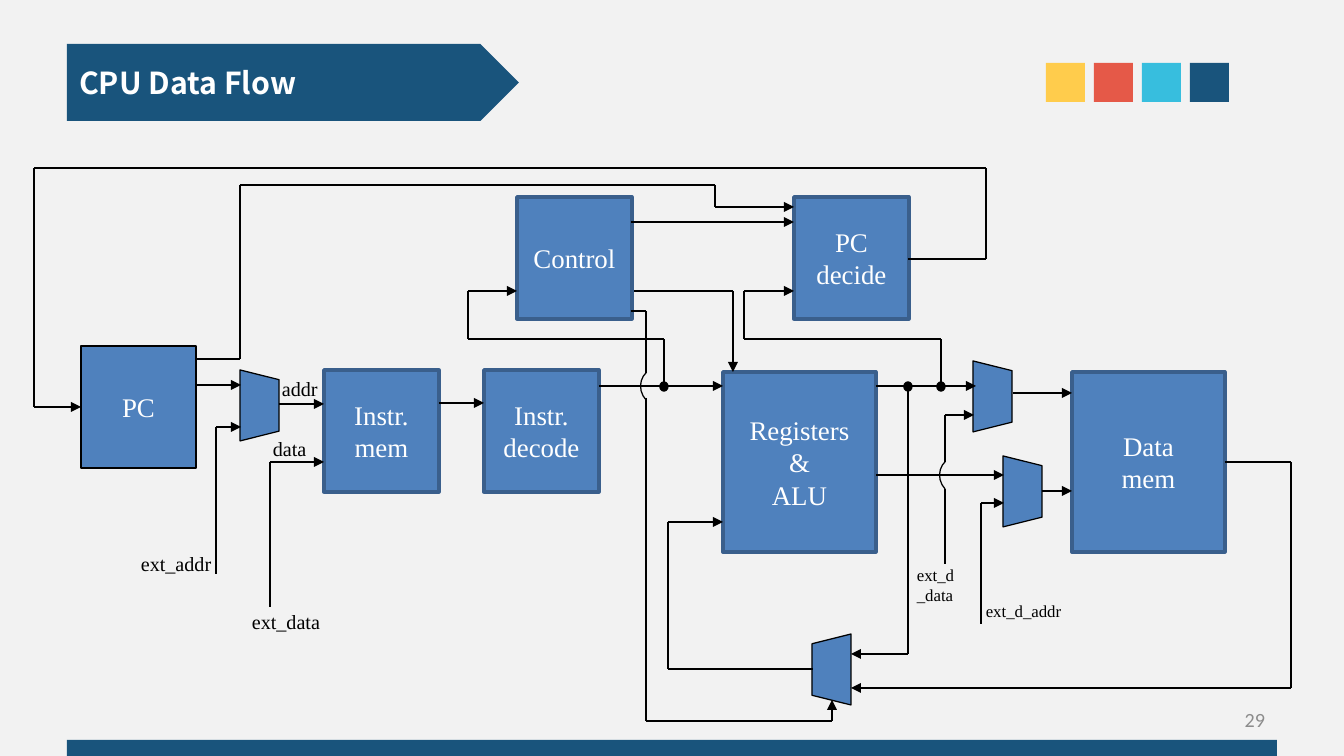
from itertools import pairwise

from lxml.etree import SubElement
from pptx import Presentation
from pptx.dml.color import RGBColor
from pptx.enum.shapes import MSO_CONNECTOR, MSO_SHAPE
from pptx.enum.text import MSO_ANCHOR, MSO_AUTO_SIZE, PP_ALIGN
from pptx.oxml.ns import qn
from pptx.util import Pt

PX = 7557
COLORS = {
    "back": "F2F2F2", "navy": "19547C", "gold": "FFCC4C", "red": "E55948",
    "sky": "37BEDE", "blue": "4F81BD", "edge": "3A5F8C", "black": "000000",
    "white": "FFFFFF", "gray": "8C8C8C",
}
SERIF = "Times New Roman"
BLOCKS = [
    ("PC", 51, 186, 115, 122, "black", 0.75),
    ("Instr.\nmem", 294, 210, 115, 122, "edge", 2),
    ("Instr.\ndecode", 454, 210, 115, 122, "edge", 2),
    ("Registers\n&\nALU", 693, 212, 153, 180, "edge", 2),
    ("Data\nmem", 1042, 212, 153, 180, "edge", 2),
    ("Control", 487, 37, 115, 122, "edge", 2),
    ("PC decide", 764, 37, 115, 122, "edge", 2),
]
MUXES = [(230, 245, 90), (963, 236, 90), (993, 331, 90), (802, 509, 270)]
ARROWS = [
    [(165, 225), (211, 225)],
    [(186, 414), (186, 267), (211, 267)],
    [(249, 244), (294, 244)],
    [(240, 447), (240, 302), (294, 302)],
    [(409, 243), (454, 243)],
    [(569, 226), (693, 226)],
    [(634, 226), (634, 179), (438, 179), (438, 131), (487, 131)],
    [(846, 226), (946, 226)],
    [(911, 226), (911, 179), (714, 179), (714, 131), (764, 131)],
    [(983, 233), (1042, 233)],
    [(1012, 331), (1042, 331)],
    [(601, 62), (764, 62)],
    [(604, 131), (703, 131), (703, 212)],
    [(846, 315), (974, 315)],
    [(915, 302), (915, 255), (944, 255)],
    [(951, 464), (951, 343), (974, 343)],
    [(1195, 302), (1261, 302), (1261, 528), (821, 528)],
    [(878, 226), (878, 494), (821, 494)],
    [(783, 509), (638, 509), (638, 362), (693, 362)],
    [(616, 238), (616, 561), (802, 561), (802, 540)],
    [(878, 99), (956, 99), (956, 8), (4, 8), (4, 247), (51, 247)],
    [(165, 199), (210, 199), (210, 25), (685, 25), (685, 47), (764, 47)],
]
PLAIN = [[(915, 404), (915, 329)], [(601, 151), (616, 151), (616, 213)]]
HOPS = [(909, 297), (610, 208)]
DOTS = [(634, 226), (878, 226), (911, 226)]
LABELS = [
    ("addr", 240, 210, 65, 36, 12),
    ("data", 231, 270, 65, 36, 12),
    ("ext_data", 210, 443, 109, 36, 12),
    ("ext_addr", 99, 385, 103, 36, 12),
    ("ext_d_data", 875, 399, 68, 53, 10),
    ("ext_d_addr", 944, 435, 103, 33, 10),
]


def color(name):
    """Return the named colour."""
    return RGBColor.from_string(COLORS[name])


def scale(*sizes):
    """Turn px into EMU."""
    return [round(size * PX) for size in sizes]


def write(shape, text, size, tint, face=SERIF, align=PP_ALIGN.LEFT,
          anchor=MSO_ANCHOR.TOP, bold=False):
    """Fill a shape with text in one style."""
    frame = shape.text_frame
    frame.text = text
    frame.word_wrap = True
    frame.vertical_anchor = anchor
    for para in frame.paragraphs:
        para.alignment = align
        para.font.name = face
        para.font.size = Pt(size)
        para.font.bold = bold
        para.font.color.rgb = color(tint)


def draw(slide, kind, box, fill=None, line=None, width=0.75, turn=0):
    """Add a preset shape with flat fill and line."""
    shape = slide.shapes.add_shape(kind, *scale(*box))
    shape.shadow.inherit = False
    shape.rotation = turn
    if fill:
        shape.fill.solid()
        shape.fill.fore_color.rgb = color(fill)
    else:
        shape.fill.background()
    if line:
        shape.line.color.rgb = color(line)
        shape.line.width = Pt(width)
    else:
        shape.line.fill.background()
    return shape


def label(slide, box, text, size, tint, **style):
    """Add a text box."""
    note = slide.shapes.add_textbox(*scale(*box))
    write(note, text, size, tint, **style)


def wire(slide, left, top, points, arrow):
    """Join points with straight lines, with an arrow at the end if asked."""
    for (ax, ay), (bx, by) in pairwise(points):
        ends = scale(left + ax, top + ay, left + bx, top + by)
        part = slide.shapes.add_connector(MSO_CONNECTOR.STRAIGHT, *ends)
        part.line.color.rgb = color("black")
        part.line.width = Pt(0.75)
        SubElement(part.element.spPr, qn("a:effectLst"))
    if arrow:
        SubElement(part.line._get_or_add_ln(), qn("a:tailEnd"), type="triangle")


def header(slide, box):
    """Place the title banner and the colour squares."""
    left, top, width, height = box
    draw(slide, MSO_SHAPE.PENTAGON, (left, top, 452, height), "navy")
    title = slide.shapes.title
    title.left, title.top, title.width, title.height = scale(left, top + 14, 252, 48)
    write(title, "CPU Data Flow", 18, "white", face="Noto Sans CJK SC", bold=True)
    title.text_frame.word_wrap = False
    title.text_frame.auto_size = MSO_AUTO_SIZE.NONE
    slide.shapes.element.append(title.element)
    start = left + width - 184
    for step, tint in enumerate(("gold", "red", "sky", "navy")):
        draw(slide, MSO_SHAPE.RECTANGLE, (start + step * 48, top + 19, 39, 39), tint)


def footer(slide, box):
    """Place the bottom bar and the page number."""
    left, top, width, height = box
    draw(slide, MSO_SHAPE.RECTANGLE, box, "navy")
    label(slide, (left + width - 313, top - 40, 313, 40), "29", 12, "gray",
          face="Calibri", align=PP_ALIGN.RIGHT, anchor=MSO_ANCHOR.MIDDLE)


def diagram(slide, box):
    """Place the blocks, wires and labels of the data flow."""
    left, top = box[:2]
    for text, x, y, wide, high, line, width in BLOCKS:
        block = draw(slide, MSO_SHAPE.RECTANGLE, (left + x, top + y, wide, high),
                     "blue", line, width)
        write(block, text, 16, "white", align=PP_ALIGN.CENTER,
              anchor=MSO_ANCHOR.MIDDLE)
    for x, y, turn in MUXES:
        draw(slide, MSO_SHAPE.TRAPEZOID, (left + x - 36, top + y - 19, 71, 39),
             "blue", "black", turn=turn)
    for points in ARROWS:
        wire(slide, left, top, points, True)
    for points in PLAIN:
        wire(slide, left, top, points, False)
    for x, y in HOPS:
        draw(slide, MSO_SHAPE.ARC, (left + x, top + y, 40, 38), None, "black",
             turn=227.4)
    for x, y in DOTS:
        draw(slide, MSO_SHAPE.OVAL, (left + x - 3, top + y - 3, 6, 7),
             "black", "black", 2)
    for text, x, y, wide, high, size in LABELS:
        label(slide, (left + x, top + y, wide, high), text, size, "black")


def main():
    """Build the slide and save it."""
    deck = Presentation()
    deck.slide_width, deck.slide_height = scale(1344, 756)
    slide = deck.slides.add_slide(deck.slide_layouts[5])
    slide.background.fill.solid()
    slide.background.fill.fore_color.rgb = color("back")
    header(slide, (67, 44, 1163, 77))
    footer(slide, (67, 740, 1210, 20))
    diagram(slide, (30, 160, 1270, 570))
    deck.save("out.pptx")


if __name__ == "__main__":
    main()
